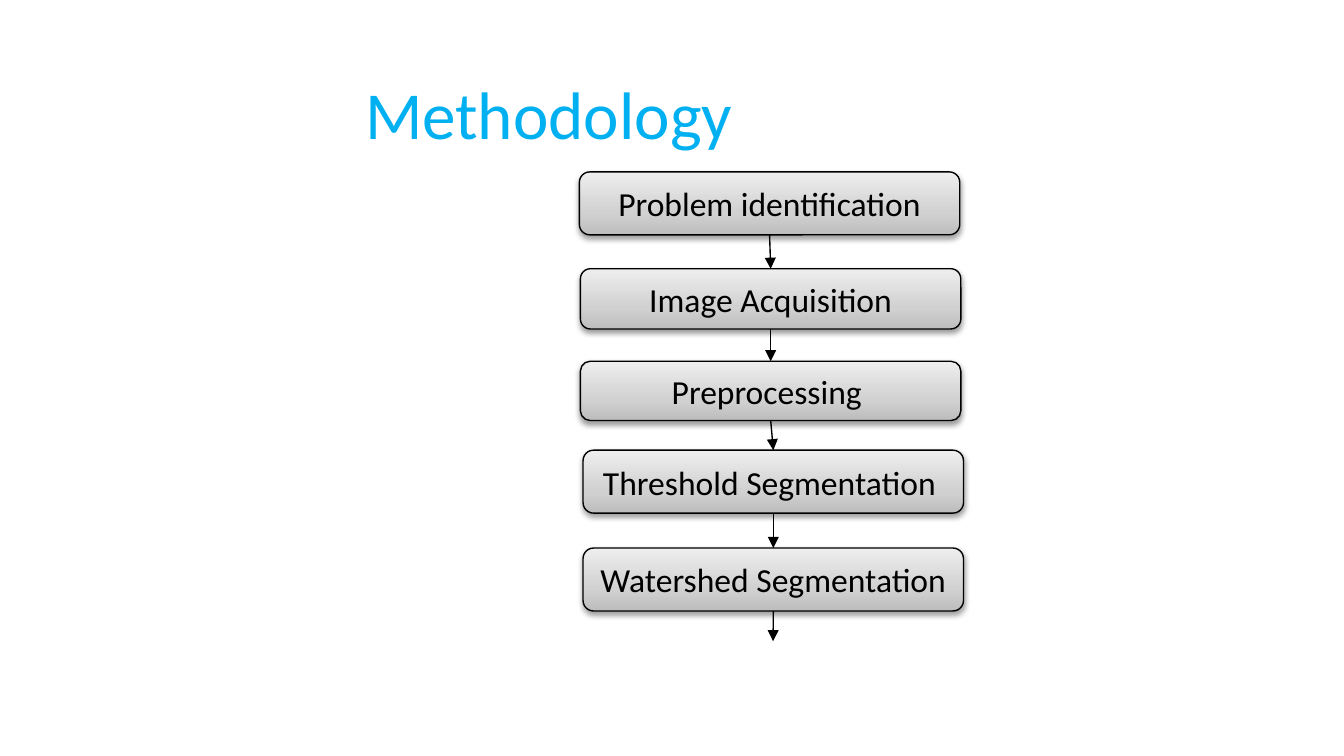
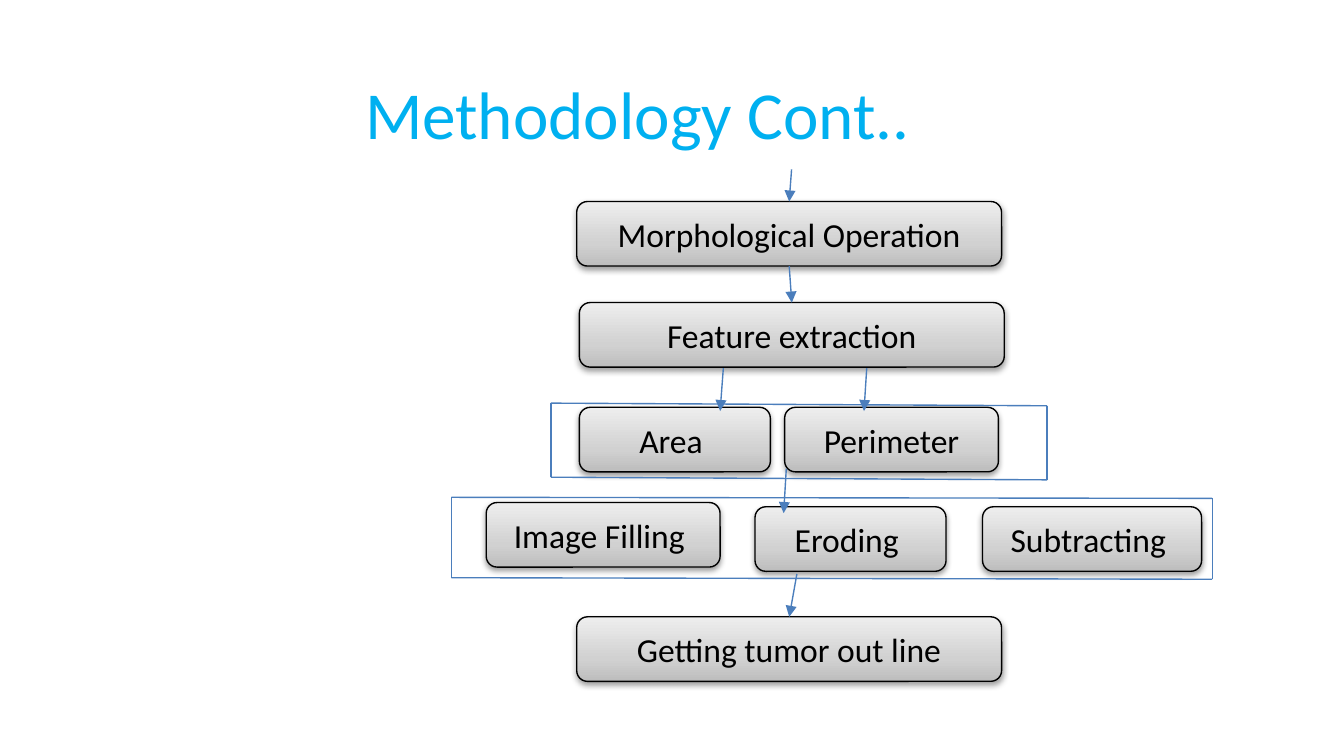
from dataclasses import dataclass
from itertools import pairwise
from typing import NamedTuple

from pptx import Presentation
from pptx import util as u
from pptx.dml.color import RGBColor
from pptx.enum import shapes, text
from pptx.oxml import parse_xml
from pptx.oxml.ns import nsdecls

FONT = "Calibri"
TITLE_BLUE = "00B0F0"
LINE_BLUE = "4B7EBC"
BLACK = "000000"
STEP_GRADIENT = ((0, "BDBDBD"), (35, "D1D1D1"), (100, "EEEEEE"))
BOTTOM, TOP = 2, 0


class Point(NamedTuple):
    x: float
    y: float


@dataclass(frozen=True)
class Step:
    """A rounded box of the flow, in centimetres."""
    label: str
    left: float
    top: float
    width: float = 8.03
    height: float = 1.22

    def middle(self, side: int) -> Point:
        y = self.top + (self.height if side == BOTTOM else 0)
        return Point(self.left + self.width / 2, y)


@dataclass(frozen=True)
class Frame:
    """Four loose lines around a row of steps, each slightly tilted."""
    left: float
    right: float
    top: tuple[float, float]
    bottom: tuple[float, float]

    def corners(self) -> list[Point]:
        return [Point(self.left, self.top[0]), Point(self.right, self.top[1]),
                Point(self.right, self.bottom[1]), Point(self.left, self.bottom[0])]


@dataclass(frozen=True)
class Arrow:
    """An arrow whose ends are steps (joined) or free points."""
    start: Step | Point
    end: Step | Point


@dataclass(frozen=True)
class FlowSlide:
    title: str
    line_color: str
    steps: tuple[Step, ...]
    arrows: tuple[Arrow, ...]
    frames: tuple[Frame, ...] = ()


def rgb(value: str) -> RGBColor:
    return RGBColor.from_string(value)


def style_text(paragraph, size: float, color: str) -> None:
    paragraph.font.name = FONT
    paragraph.font.size = u.Pt(size)
    paragraph.font.color.rgb = rgb(color)


def draw_title(slide, title: str) -> None:
    heading = slide.shapes.add_textbox(u.Cm(6.65), u.Cm(1.12), u.Cm(17.45), u.Cm(2.01))
    frame = heading.text_frame
    frame.word_wrap = True
    frame.vertical_anchor = text.MSO_ANCHOR.MIDDLE
    frame.text = title
    style_text(frame.paragraphs[0], 36, TITLE_BLUE)


def draw_step(slide, step: Step):
    box = slide.shapes.add_shape(
        shapes.MSO_SHAPE.ROUNDED_RECTANGLE,
        u.Cm(step.left), u.Cm(step.top), u.Cm(step.width), u.Cm(step.height))
    box.line.color.rgb = rgb(BLACK)
    box.line.width = u.Pt(0.75)
    box.shadow.inherit = False

    # Three-stop gradient, dark at the bottom, and a soft shadow below
    stops = "".join(f'<a:gs pos="{pos * 1000}"><a:srgbClr val="{color}"/></a:gs>'
                    for pos, color in STEP_GRADIENT)
    properties = box.element.spPr
    properties.insert(2, parse_xml(
        f'<a:gradFill {nsdecls("a")} rotWithShape="1"><a:gsLst>{stops}</a:gsLst>'
        '<a:lin ang="16200000" scaled="0"/></a:gradFill>'))
    properties.find("{*}effectLst").append(parse_xml(
        f'<a:outerShdw {nsdecls("a")} blurRad="40000" dist="20000" dir="5400000" '
        f'rotWithShape="0"><a:srgbClr val="{BLACK}"><a:alpha val="38000"/>'
        '</a:srgbClr></a:outerShdw>'))

    frame = box.text_frame
    frame.word_wrap = True
    frame.vertical_anchor = text.MSO_ANCHOR.MIDDLE
    frame.text = step.label
    label = frame.paragraphs[0]
    label.alignment = text.PP_ALIGN.CENTER
    style_text(label, 18, BLACK)
    return box


def draw_line(slide, start: Point, end: Point, color: str):
    line = slide.shapes.add_connector(
        shapes.MSO_CONNECTOR.STRAIGHT,
        u.Cm(start.x), u.Cm(start.y), u.Cm(end.x), u.Cm(end.y))
    line.line.color.rgb = rgb(color)
    line.line.width = u.Pt(0.75)
    line.element.spPr.append(parse_xml(f'<a:effectLst {nsdecls("a")}/>'))
    return line


def draw_arrow(slide, arrow: Arrow, boxes: dict, color: str) -> None:
    start, end = (part.middle(side) if isinstance(part, Step) else part
                  for part, side in ((arrow.start, BOTTOM), (arrow.end, TOP)))
    line = draw_line(slide, start, end, color)
    line.line._get_or_add_ln().append(
        parse_xml(f'<a:tailEnd {nsdecls("a")} type="triangle"/>'))
    if isinstance(arrow.start, Step):
        line.begin_connect(boxes[arrow.start], BOTTOM)
    if isinstance(arrow.end, Step):
        line.end_connect(boxes[arrow.end], TOP)


def draw_flow(deck, flow: FlowSlide) -> None:
    slide = deck.slides.add_slide(deck.slide_layouts[6])
    draw_title(slide, flow.title)
    boxes = {step: draw_step(slide, step) for step in flow.steps}
    for frame in flow.frames:
        corners = frame.corners()
        for start, end in pairwise(corners + corners[:1]):
            draw_line(slide, start, end, flow.line_color)
    for arrow in flow.arrows:
        draw_arrow(slide, arrow, boxes, flow.line_color)


def methodology() -> FlowSlide:
    width = 7.19
    steps = (
        Step("Problem identification", 10.95, 3.25, width, 1.19),
        Step("Image Acquisition", 10.97, 5.08, width, 1.14),
        Step("Preprocessing ", 10.97, 6.83, width, 1.12),
        Step("Threshold Segmentation ", 11.02, 8.51, width, 1.19),
        Step("Watershed Segmentation", 11.02, 10.36, width, 1.19),
    )
    arrows = [Arrow(above, below) for above, below in pairwise(steps)]
    onward = Arrow(steps[-1], Point(14.61, 12.12))
    return FlowSlide("Methodology", BLACK, steps, (*arrows, onward))


def methodology_continued() -> FlowSlide:
    morphology = Step("Morphological Operation", 10.9, 3.81)
    features = Step("Feature extraction", 10.95, 5.72)
    outline = Step("Getting tumor out line", 10.9, 11.66)
    measures = (Step("Perimeter", 14.83, 7.7, 4.04),
                Step("Area ", 10.95, 7.7, 3.61))
    refinements = (Step("Image Filling ", 9.19, 9.5, 4.42),
                   Step("Eroding ", 14.27, 9.58, 3.61),
                   Step("Subtracting ", 18.57, 9.58, 4.14))
    arrows = (
        Arrow(Point(14.96, 3.2), morphology),
        Arrow(morphology, features),
        Arrow(Point(13.67, 6.96), Point(13.61, 7.77)),
        Arrow(Point(16.38, 6.96), Point(16.33, 7.77)),
        Arrow(Point(14.86, 8.86), Point(14.81, 9.7)),
        Arrow(Point(15.06, 10.85), outline),
    )
    frames = (Frame(10.41, 19.79, (7.62, 7.67), (9.02, 9.07)),
              Frame(8.53, 22.91, (9.4, 9.42), (10.92, 10.95)))
    return FlowSlide("Methodology Cont..", LINE_BLUE,
                     (morphology, features, *measures, outline, *refinements),
                     arrows, frames)


def main() -> None:
    deck = Presentation()
    deck.slide_width, deck.slide_height = u.Cm(25.4), u.Cm(14.29)
    for flow in (methodology(), methodology_continued()):
        draw_flow(deck, flow)
    deck.save("out.pptx")


if __name__ == "__main__":
    main()
